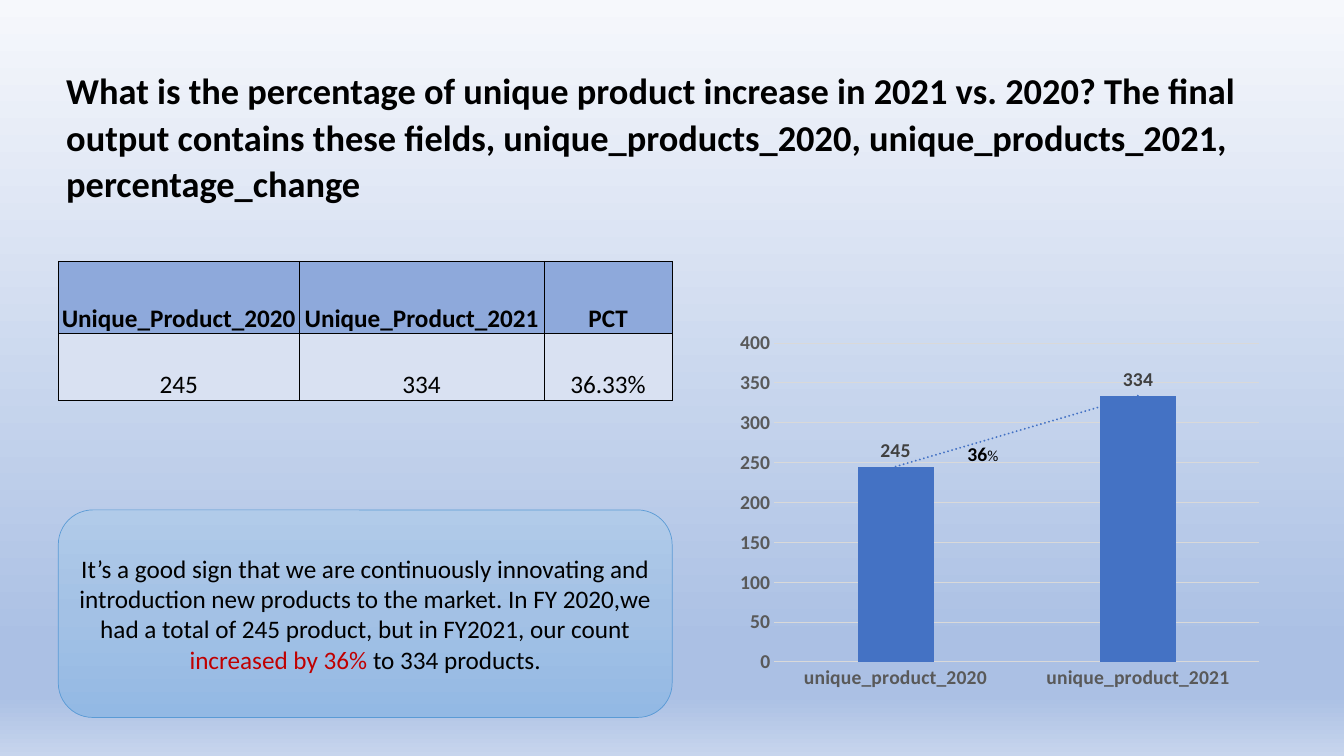
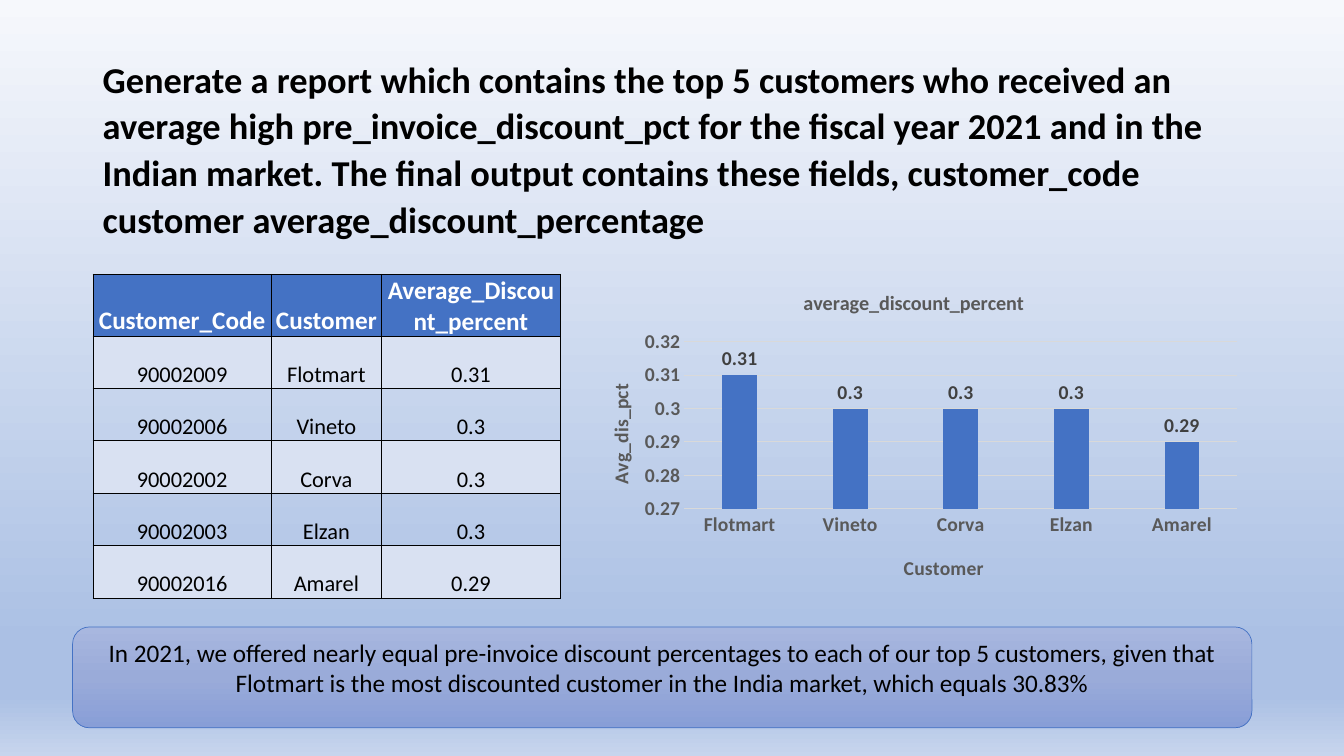
"""Build two product and discount report slides with tables and column charts."""
from dataclasses import dataclass
from typing import Any, NamedTuple, Optional

from lxml import etree
from pptx import Presentation
from pptx.chart.data import CategoryChartData
from pptx.dml.color import RGBColor as RGB
from pptx.enum.chart import XL_CHART_TYPE as Chart, XL_LABEL_POSITION as LabelPos, XL_TICK_MARK as Tick
from pptx.enum.shapes import MSO_SHAPE as Shape
from pptx.enum.text import MSO_ANCHOR as Anchor, PP_ALIGN as Align
from pptx.oxml import parse_xml
from pptx.oxml.ns import nsdecls, qn
from pptx.util import Cm, Pt


@dataclass(frozen=True)
class Theme:
    font: str = "Calibri"
    title: float = 26
    body: float = 18
    cell: float = 16
    chart: float = 14
    chart_title: float = 14.4
    small: float = 11
    ink: str = "000000"
    white: str = "FFFFFF"
    accent: str = "C00000"
    bar: str = "4472C4"
    header: str = "8EA9DB"
    band: str = "D9E1F2"
    axis: str = "595959"
    label: str = "404040"
    grid: str = "D9D9D9"
    background: tuple = ((0, "F6F8FC"), (85, "ABC0E4"), (92, "ABC0E4"), (100, "C7D5ED"))
    sky: tuple = ((0, "B1CBE9"), (50, "A3C1E5"), (100, "93B9E4"))
    sky_line: str = "5B9BD5"
    violet: tuple = ((0, "A8B7DF"), (50, "9AABD9"), (100, "889ED7"))


T = Theme()


class Box(NamedTuple):
    left: float
    top: float
    width: float
    height: float

    def lengths(self) -> list:
        return [Cm(v) for v in self]


class Run(NamedTuple):
    text: str
    size: float = T.body
    color: str = T.ink
    bold: bool = False


@dataclass(frozen=True)
class Grid:
    left: float
    top: float
    cols: tuple
    heights: tuple
    rows: tuple
    header_fill: str
    header_color: str
    body_size: float


@dataclass(frozen=True)
class Columns:
    box: Box
    name: str
    cats: tuple
    vals: tuple
    scale: tuple
    plot: tuple
    titled: bool = False
    trend: bool = False
    axis_titles: tuple = ()


@dataclass(frozen=True)
class Callout:
    box: Box
    runs: tuple
    stops: tuple
    line: str
    anchor: Any


def assign(obj: Any, **fmt: Any) -> None:
    for name, value in fmt.items():
        setattr(obj, name, value)


def style(font: Any, size: float, color: str, bold: bool = False) -> None:
    assign(font, name=T.font, size=Pt(size), bold=bold)
    font.color.rgb = RGB.from_string(color)


def paint(fill: Any, color: Optional[str]) -> None:
    if color is None:
        fill.background()
    else:
        fill.solid()
        fill.fore_color.rgb = RGB.from_string(color)


def outline(line: Any, color: str, width: float) -> None:
    paint(line.fill, color)
    line.width = Pt(width)


def gradient(fill: Any, element: Any, stops: tuple) -> None:
    fill.gradient()
    fill.gradient_angle = 270
    gs_list = next(element.iter(qn("a:gsLst")))
    for old in list(gs_list):
        gs_list.remove(old)
    for pos, color in stops:
        gs = etree.SubElement(gs_list, qn("a:gs"), pos=str(pos * 1000))
        etree.SubElement(gs, qn("a:srgbClr"), val=color)


def write(tf: Any, runs: tuple, align: Any = Align.LEFT, **fmt: Any) -> Any:
    assign(tf, **fmt)
    p = tf.paragraphs[0]
    p.alignment = align
    for run in runs:
        r = p.add_run()
        r.text = run.text
        style(r.font, run.size, run.color, run.bold)
    return p


def add_text(s: Any, box: Box, *runs: Run, **fmt: Any) -> Any:
    tf = s.shapes.add_textbox(*box.lengths()).text_frame
    return write(tf, runs, word_wrap=True, **fmt)


def add_slide(prs: Any, box: Box, title: str) -> Any:
    s = prs.slides.add_slide(prs.slide_layouts[6])
    gradient(s.background.fill, s.element, T.background)
    p = add_text(s, box, Run(title, T.title, bold=True), vertical_anchor=Anchor.MIDDLE)
    p.line_spacing = 1.07
    return s


def add_borders(cell: Any) -> None:
    tc_pr = cell._tc.get_or_add_tcPr()
    for side in "LRTB":
        ln = etree.SubElement(tc_pr, qn(f"a:ln{side}"), w=str(Pt(0.5)))
        etree.SubElement(etree.SubElement(ln, qn("a:solidFill")), qn("a:srgbClr"), val=T.ink)


def add_grid(s: Any, g: Grid) -> None:
    box = Box(g.left, g.top, sum(g.cols), sum(g.heights))
    tbl = s.shapes.add_table(len(g.rows), len(g.cols), *box.lengths()).table
    assign(tbl, first_row=False, horz_banding=False)
    for col, width in zip(tbl.columns, g.cols):
        col.width = Cm(width)
    for i, (row, height, texts) in enumerate(zip(tbl.rows, g.heights, g.rows)):
        row.height = Cm(height)
        head = i == 0
        fill = g.header_fill if head else T.band if i % 2 else None
        for cell, text in zip(row.cells, texts):
            assign(cell, margin_left=Cm(0.03), margin_right=Cm(0.03), margin_top=Cm(0.03),
                   margin_bottom=0, vertical_anchor=Anchor.BOTTOM)
            add_borders(cell)
            paint(cell.fill, fill)
            run = Run(text, T.body, g.header_color, True) if head else Run(text, g.body_size)
            write(cell.text_frame, (run,), Align.CENTER)


def place(parent: Any, index: int, **position: float) -> None:
    for old in parent.findall(qn("c:layout")):
        parent.remove(old)
    layout = etree.Element(qn("c:layout"))
    manual = etree.SubElement(layout, qn("c:manualLayout"))
    modes = {"xMode": "edge", "yMode": "edge"}
    if "w" in position:
        modes = {"layoutTarget": "inner", **modes}
    for tag, value in {**modes, **position}.items():
        etree.SubElement(manual, qn(f"c:{tag}"), val=str(value))
    parent.insert(index, layout)


def add_trend(series: Any) -> None:
    trend = parse_xml(
        f'<c:trendline {nsdecls("c", "a")}><c:spPr><a:ln w="{Pt(1.5)}" cap="rnd"><a:solidFill>'
        f'<a:srgbClr val="{T.bar}"/></a:solidFill><a:prstDash val="sysDot"/></a:ln></c:spPr>'
        '<c:trendlineType val="linear"/><c:dispRSqr val="0"/><c:dispEq val="0"/></c:trendline>')
    series._element.find(qn("c:cat")).addprevious(trend)


def add_columns(s: Any, c: Columns) -> None:
    data = CategoryChartData()
    data.categories = c.cats
    data.add_series(c.name, c.vals)
    chart = s.shapes.add_chart(Chart.COLUMN_CLUSTERED, *c.box.lengths(), data).chart
    assign(chart, has_legend=False, has_title=c.titled)
    style(chart.font, T.chart, T.axis, True)
    if c.titled:
        p = write(chart.chart_title.text_frame, (Run(c.name, T.chart_title, T.axis, True),))
        p.alignment = Align.CENTER
    cat, val = chart.category_axis, chart.value_axis
    for axis in (cat, val):
        assign(axis, major_tick_mark=Tick.NONE, minor_tick_mark=Tick.NONE)
        style(axis.tick_labels.font, T.chart, T.axis, True)
    outline(cat.format.line, T.grid, 0.75)
    val.format.line.fill.background()
    low, high, unit = c.scale
    assign(val, has_major_gridlines=True, minimum_scale=low, maximum_scale=high, major_unit=unit)
    outline(val.major_gridlines.format.line, T.grid, 0.75)
    for axis, (text, x, y) in zip((cat, val), c.axis_titles):
        title = axis.axis_title
        write(title.text_frame, (Run(text, T.chart, T.axis, True),), Align.CENTER)
        place(title._element, 1, x=x, y=y)
    plot = chart.plots[0]
    assign(plot, gap_width=219, overlap=-27, vary_by_categories=False)
    series = plot.series[0]
    paint(series.format.fill, T.bar)
    labels = series.data_labels
    assign(labels, show_value=True, position=LabelPos.OUTSIDE_END)
    style(labels.font, T.chart, T.label, True)
    if c.trend:
        add_trend(series)
    place(chart._chartSpace.chart.plotArea, 0, **dict(zip("xywh", c.plot)))


def add_callout(s: Any, c: Callout) -> None:
    sp = s.shapes.add_shape(Shape.ROUNDED_RECTANGLE, *c.box.lengths())
    sp.shadow.inherit = False
    gradient(sp.fill, sp.element, c.stops)
    outline(sp.line, c.line, 0.5)
    write(sp.text_frame, c.runs, Align.CENTER, word_wrap=True, vertical_anchor=c.anchor)


def product_slide(prs: Any) -> None:
    s = add_slide(prs, Box(1.42, 0.71, 31.7, 5.38),
                  "What is the percentage of unique product increase in 2021 vs. 2020? The final output "
                  "contains these fields, unique_products_2020, unique_products_2021, percentage_change")
    add_grid(s, Grid(1.47, 6.58, (6.07, 6.17, 3.23), (1.83, 1.68),
                     (("Unique_Product_2020", "Unique_Product_2021", "PCT"), ("245", "334", "36.33%")),
                     T.header, T.ink, T.body))
    add_columns(s, Columns(Box(18.39, 6.58, 14.05, 11.48), "Series 1",
                           ("unique_product_2020", "unique_product_2021"), (245, 334),
                           (0, 400, 50), (0.08, 0.18, 0.87, 0.7), trend=True))
    add_text(s, Box(24.13, 11, 1.7, 0.86), Run("36", T.chart, bold=True), Run("%", T.small))
    add_callout(s, Callout(
        Box(1.47, 12.85, 15.47, 5.23),
        (Run("It’s a good sign that we are continuously innovating and introduction new products to the "
             "market. In FY 2020,we had a total of 245 product, but in FY2021, our count "),
         Run("increased by 36% ", color=T.accent), Run("to 334 products.")),
        T.sky, T.sky_line, Anchor.MIDDLE))


def discount_slide(prs: Any) -> None:
    names = ("Flotmart", "Vineto", "Corva", "Elzan", "Amarel")
    codes = ("90002009", "90002006", "90002002", "90002003", "90002016")
    rates = (0.31, 0.3, 0.3, 0.3, 0.29)
    s = add_slide(prs, Box(2.34, 0.33, 29.21, 6.76),
                  "Generate a report which contains the top 5 customers who received an average high "
                  "pre_invoice_discount_pct for the fiscal year 2021 and in the Indian market. The final "
                  "output contains these fields, customer_code customer average_discount_percentage")
    add_grid(s, Grid(2.34, 6.91, (4.5, 2.77, 4.52), (1.55, *[1.32] * len(names)),
                     (("Customer_Code", "Customer", "Average_Discount_percent"),
                      *zip(codes, names, map(str, rates))),
                     T.bar, T.white, T.cell))
    add_columns(s, Columns(Box(14.53, 6.91, 16.99, 8.1), "average_discount_percent", names, rates,
                           (0.27, 0.32, 0.01), (0.16, 0.21, 0.82, 0.52), titled=True,
                           axis_titles=(("Customer", 0.48, 0.86), ("Avg_dis_pct", 0.04, 0.33))))
    add_callout(s, Callout(
        Box(1.83, 15.8, 29.72, 2.54),
        (Run("In 2021, we offered nearly equal pre-invoice discount percentages to each of our top 5 "
             f"customers, given that {names[0]} is the most discounted customer in the India market, "
             "which equals 30.83%"),),
        T.violet, T.bar, Anchor.TOP))


def main() -> None:
    prs = Presentation()
    assign(prs, slide_width=Cm(33.87), slide_height=Cm(19.05))
    product_slide(prs)
    discount_slide(prs)
    prs.save("out.pptx")


if __name__ == "__main__":
    main()
